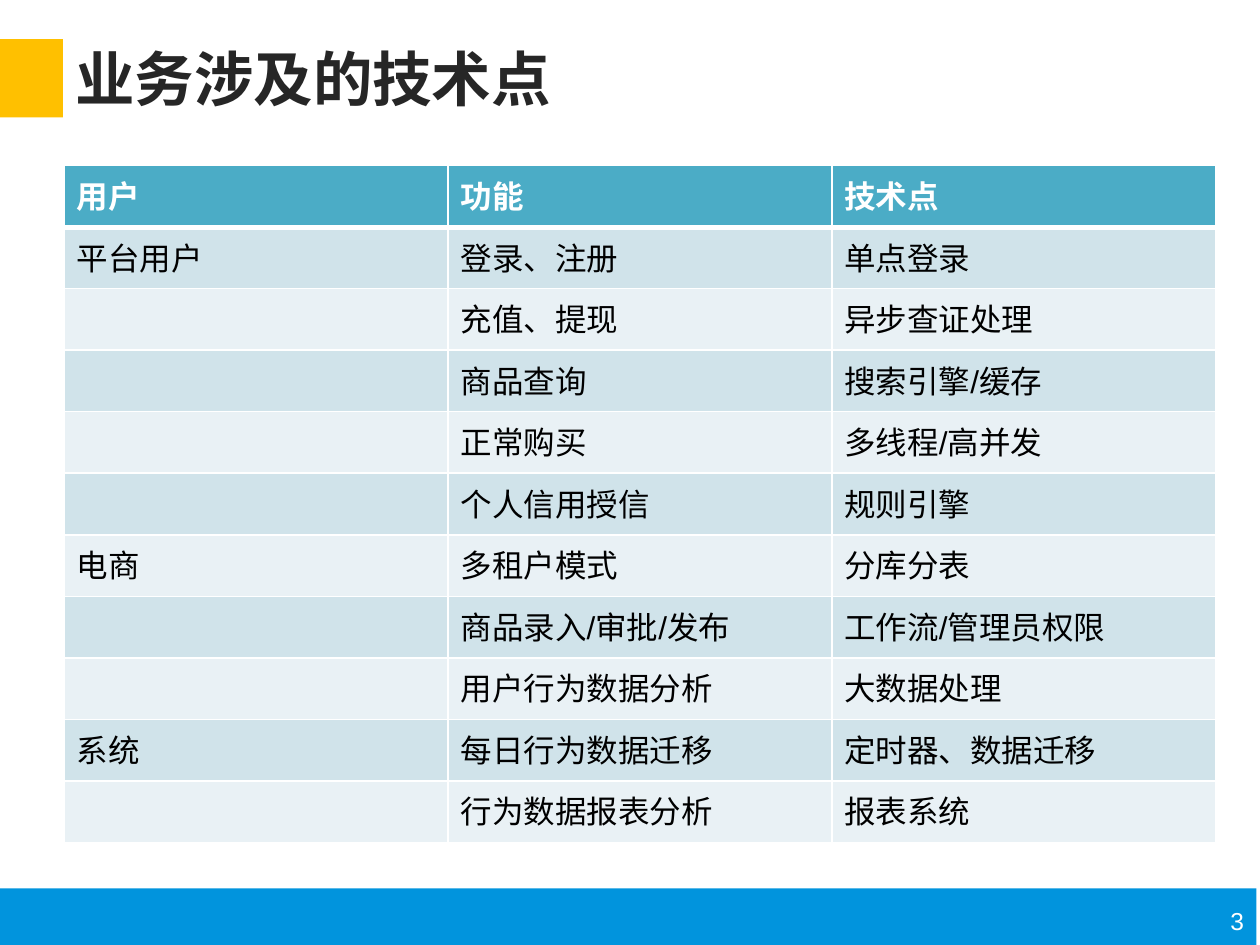
"""Build a slide with a table of users, functions and technical points."""
from lxml.etree import SubElement
from pptx import Presentation
from pptx.dml.color import RGBColor
from pptx.enum.shapes import MSO_SHAPE
from pptx.enum.text import MSO_ANCHOR, PP_ALIGN
from pptx.oxml.ns import qn
from pptx.util import Cm, Pt


def color(value):
    return RGBColor.from_string(value)


def add_span(para, text, size, font, ink, bold=False):
    span = para.add_run()
    span.text = text
    span.font.size = Pt(size)
    span.font.name = font
    span.font.bold = bold
    span.font.color.rgb = color(ink)
    SubElement(span.font._element, qn("a:ea"), typeface="Noto Sans CJK SC")


deck = Presentation()
deck.slide_width, deck.slide_height = Cm(25.4), Cm(19.05)
page = deck.slides.add_slide(deck.slide_layouts[6])

bars = [
    (0, 17.91, 25.33, 1.14, "0194DD"),
    (0, 0.79, 1.27, 1.58, "FFC000"),
]
for left, top, width, height, fill in bars:
    bar = page.shapes.add_shape(
        MSO_SHAPE.RECTANGLE, Cm(left), Cm(top), Cm(width), Cm(height))
    bar.shadow.inherit = False
    bar.fill.solid()
    bar.fill.fore_color.rgb = color(fill)
    bar.line.fill.background()

number_box = page.shapes.add_textbox(Cm(24.13), Cm(18.14), Cm(1.2), Cm(0.99))
number_box.text_frame.word_wrap = True
number_para = number_box.text_frame.paragraphs[0]
number_para.alignment = PP_ALIGN.RIGHT
add_span(number_para, "3", 14, "Arial", "FFFFFF")

title_box = page.shapes.add_textbox(Cm(1.27), Cm(0.76), Cm(15.44), Cm(1.63))
title_box.text_frame.word_wrap = True
title_box.text_frame.vertical_anchor = MSO_ANCHOR.MIDDLE
add_span(title_box.text_frame.paragraphs[0], "业务涉及的技术点", 34,
         "Noto Sans CJK SC", "262626", True)

rows = [
    ("用户", "功能", "技术点"),
    ("平台用户", "登录、注册", "单点登录"),
    ("", "充值、提现", "异步查证处理"),
    ("", "商品查询", "搜索引擎/缓存"),
    ("", "正常购买", "多线程/高并发"),
    ("", "个人信用授信", "规则引擎"),
    ("电商", "多租户模式", "分库分表"),
    ("", "商品录入/审批/发布", "工作流/管理员权限"),
    ("", "用户行为数据分析", "大数据处理"),
    ("系统", "每日行为数据迁移", "定时器、数据迁移"),
    ("", "行为数据报表分析", "报表系统"),
]
row_height, column_width = 1.24, 7.74
table = page.shapes.add_table(
    len(rows), 3, Cm(1.29), Cm(3.34),
    Cm(3 * column_width), Cm(len(rows) * row_height)).table
for column in table.columns:
    column.width = Cm(column_width)
for row_index, texts in enumerate(rows):
    header = row_index == 0
    table.rows[row_index].height = Cm(row_height)
    fill = "4BACC6" if header else ("E9F1F5", "D0E3EA")[row_index % 2]
    for column_index, text in enumerate(texts):
        cell = table.cell(row_index, column_index)
        properties = cell._tc.get_or_add_tcPr()
        for side in ("lnL", "lnR", "lnT", "lnB"):
            thick = (header and side == "lnB") or (row_index == 1 and side == "lnT")
            border = SubElement(properties, qn(f"a:{side}"), w=str(Pt(3 if thick else 1)))
            SubElement(SubElement(border, qn("a:solidFill")), qn("a:srgbClr"), val="FFFFFF")
        cell.fill.solid()
        cell.fill.fore_color.rgb = color(fill)
        para = cell.text_frame.paragraphs[0]
        if text:
            add_span(para, text, 18, "Arial", "FFFFFF" if header else "000000", header)
        else:
            para.font.size = Pt(18)

deck.save("out.pptx")
